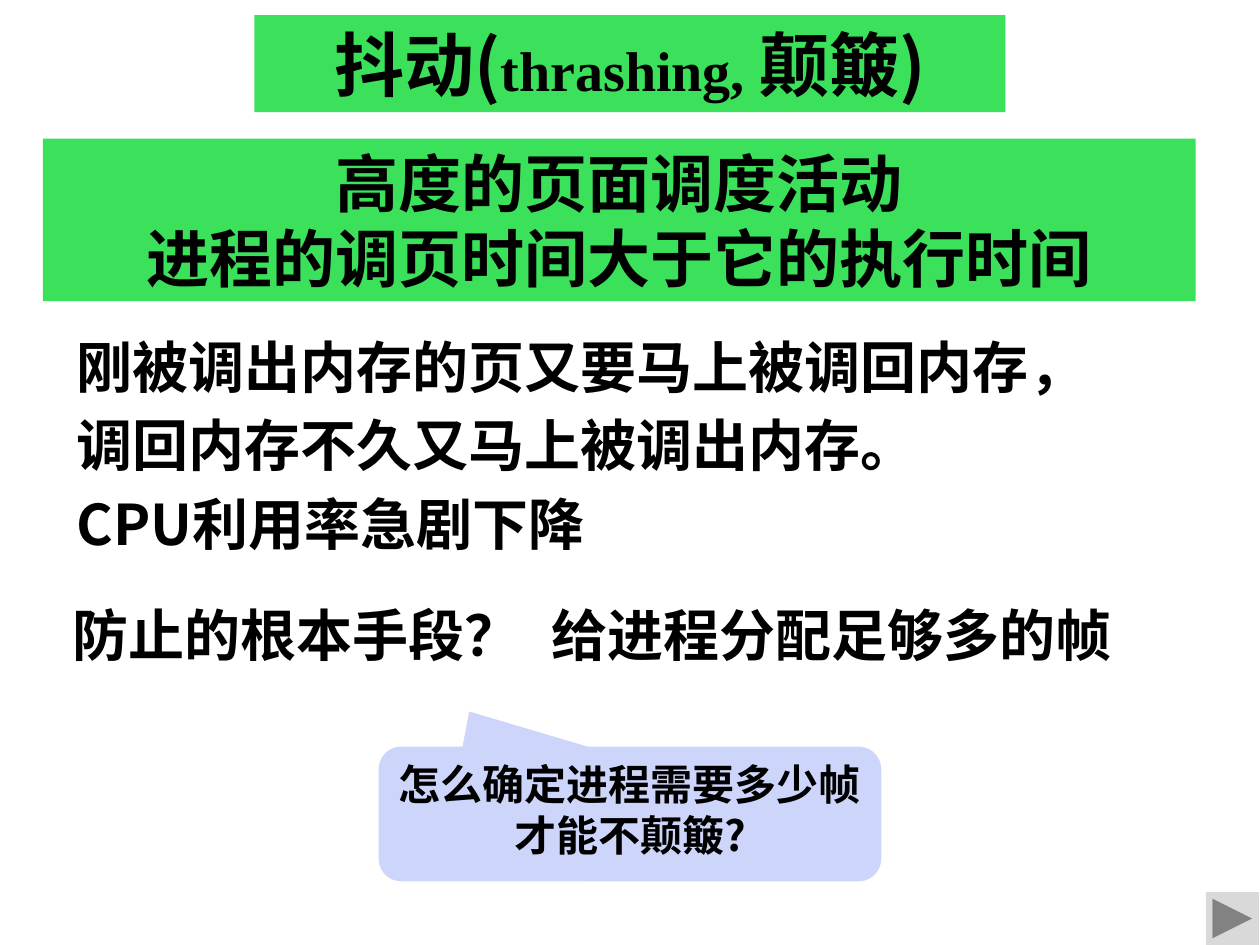
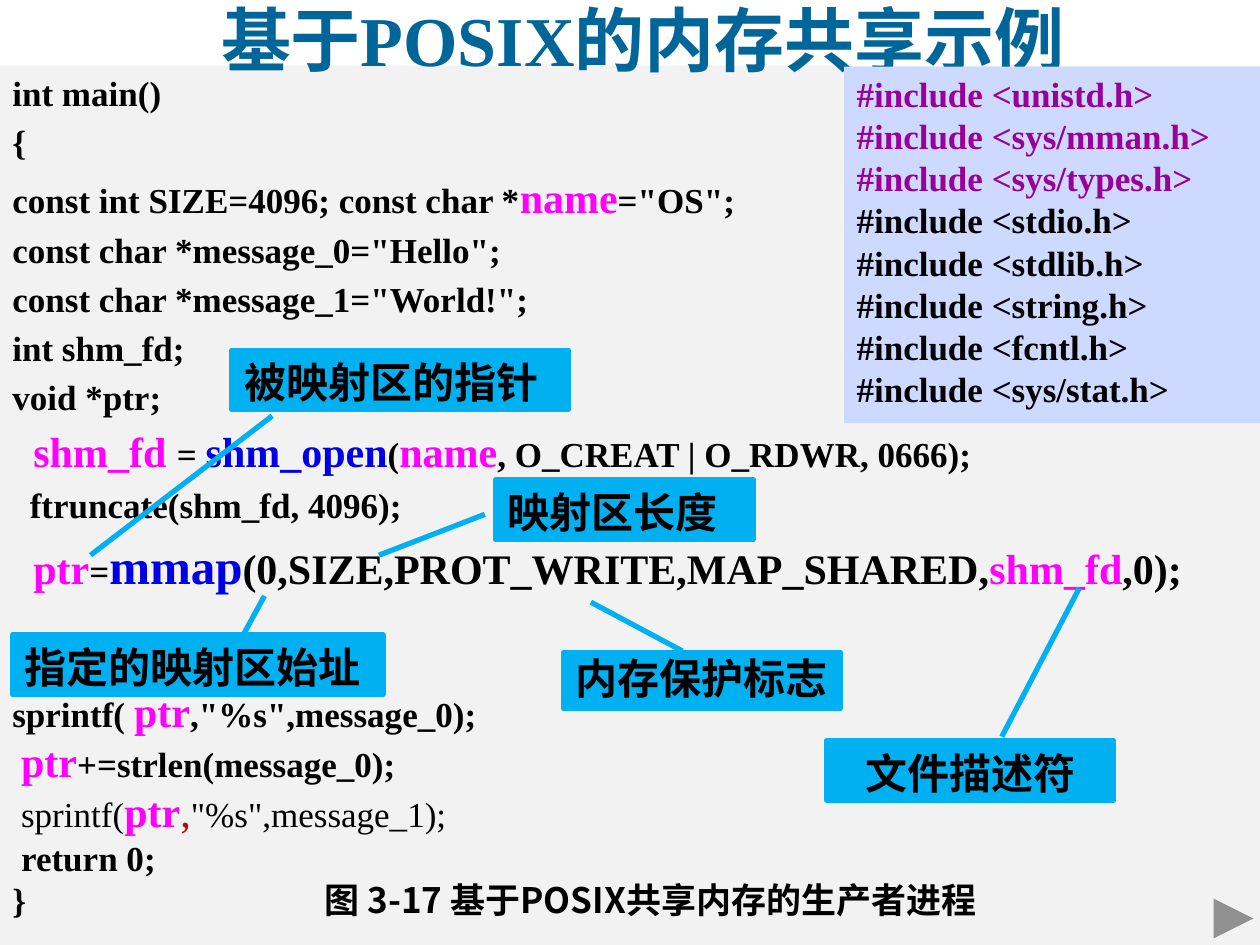
from pptx import Presentation
from pptx.dml.color import RGBColor
from pptx.enum.shapes import MSO_SHAPE
from pptx.enum.text import MSO_ANCHOR, PP_ALIGN
from pptx.util import Inches, Pt
from lxml.etree import SubElement
from pptx.oxml.ns import qn

HEI, TIMES = "Noto Sans CJK SC", "Times New Roman"
GREEN, LILAC, PALE, SKY = "3BE15B", "CDD5FB", "CDD9FF", "00B0F0"
PANEL, BUTTON, TITLE_BLUE = "F2F2F2", "D9D9D9", "006699"
BLACK, WHITE, PURPLE = "000000", "FFFFFF", "990099"

STYLES = {
    "band": dict(size=36, font=HEI),
    "heading": dict(size=40, font=HEI),
    "term": dict(size=32, font=TIMES),
    "body": dict(size=32, font=HEI),
    "question": dict(size=24, font=HEI),
    "title": dict(size=40, font=TIMES, color=TITLE_BLUE),
    "caption": dict(size=20, font=HEI),
    "label": dict(size=24, font=TIMES),
    "header": dict(size=20, font=TIMES, color=PURPLE),
    "code": dict(size=20, font=TIMES),
    "plain": dict(size=20, font=TIMES, bold=False),
    "comma": dict(size=24, font=TIMES, color="C00000", bold=False),
    "var": dict(size=24, font=TIMES, color="FF00FF"),
    "call": dict(size=24, font=TIMES, color="0000E5"),
    "bigcall": dict(size=28, font=TIMES, color="0000E5"),
    "args": dict(size=24, font=TIMES),
}

THRASHING_TITLE = [[("抖动(", "heading"), ("thrashing, ", "term"), ("颠簸)", "heading")]]
DEFINITION = ["高度的页面调度活动", "进程的调页时间大于它的执行时间"]
SYMPTOMS = ["刚被调出内存的页又要马上被调回内存，", "调回内存不久又马上被调出内存。", "CPU利用率急剧下降"]
REMEDY = [("防止的根本手段？", 0.48, 3.94), ("给进程分配足够多的帧", 4.28, 5.35)]
QUESTION = "怎么确定进程需要多少帧才能不颠簸?"

SETUP_CODE = [
    [("int main()", "code")],
    [("{", "code")],
    [("const int SIZE=4096; const char *", "code"), ("name", "var"), ('="OS";', "code")],
    [('const char *message_0="Hello";', "code")],
    [('const char *message_1="World!";', "code")],
    [("int shm_fd;", "code")],
    [("void *ptr;", "code")],
    [("  shm_fd ", "var"), ("= ", "code"), ("shm_open", "call"), ("(", "code"),
     ("name", "var"), (", O_CREAT | O_RDWR, 0666);", "code")],
    [("  ftruncate(shm_fd, 4096);", "code")],
    [("  ptr", "var"), ("=", "code"), ("mmap", "bigcall"),
     ("(0,SIZE,PROT_WRITE,MAP_SHARED,", "args"), ("shm_fd", "var"), (",0);", "args")],
]
WRITE_CODE = [
    [("sprintf( ", "code"), ("ptr", "var"), (',"%s",message_0);', "code")],
    [(" ", "code"), ("ptr", "var"), ("+=strlen(message_0);", "code")],
    [(" sprintf(", "plain"), ("ptr", "var"), (",", "comma"), ('"%s",message_1);', "plain")],
    [(" return 0;", "code")],
    [("}", "code")],
]
LABEL_GAP = 52
SHARING_HEADERS = ["unistd.h", "sys/mman.h", "sys/types.h"]
STANDARD_HEADERS = ["stdio.h", "stdlib.h", "string.h", "fcntl.h", "sys/stat.h"]

LABELS = [
    ("被映射区的指针", (1.84, 2.78, 2.67, 0.47), (1.11, 0.12, 3.46, -0.42), None, 0.05),
    ("指定的映射区始址", (0.1, 5.04, 2.94, 0.47), (0.03, 0.62, -0.66, 0.68), None, 0.05),
    ("映射区长度", (3.93, 3.81, 2.05, 0.47), (0.58, -0.04, 1.27, -0.45), None, 0.05),
    ("文件描述符", (6.56, 5.88, 2.28, 0.47), (-0.07, 0.61, -2.58, 0.88), PP_ALIGN.CENTER, 0.05),
    ("内存保护标志", (4.47, 5.18, 2.2, 0.44), (-0.03, 0.43, -0.91, 0.1), PP_ALIGN.CENTER, 0),
]


def rgb(value):
    return RGBColor.from_string(value)


def add_run(p, text, size, font, color=BLACK, bold=True):
    r = p.add_run()
    r.text = text
    for name, value in dict(size=Pt(size), name=font, bold=bold).items():
        setattr(r.font, name, value)
    r.font.color.rgb = rgb(color)
    SubElement(r.font._element, qn("a:ea"), typeface=HEI)


def write(sp, paragraphs, style=None, align=None, anchor=MSO_ANCHOR.TOP,
          wrap=True, pad=0.05, side=0.1, gaps=None):
    tf = sp.text_frame
    settings = dict(word_wrap=wrap, vertical_anchor=anchor,
                    margin_top=Inches(pad), margin_bottom=Inches(pad),
                    margin_left=Inches(side), margin_right=Inches(side))
    for name, value in settings.items():
        setattr(tf, name, value)
    for i, runs in enumerate(paragraphs):
        p = tf.add_paragraph() if i else tf.paragraphs[0]
        p.alignment = align or PP_ALIGN.LEFT
        if gaps and i:
            p.space_before = Pt(gaps[i])
        for text, key in [(runs, style)] if isinstance(runs, str) else runs:
            add_run(p, text, **STYLES[key])


def line_gaps(paragraphs):
    return [round(0.2 * max(STYLES[key]["size"] for _, key in runs), 1) for runs in paragraphs]


def add_box(s, at, fill, kind=MSO_SHAPE.RECTANGLE, line=None, width=0.75, adj=()):
    sp = s.shapes.add_shape(kind, *map(Inches, at))
    sp.shadow.inherit = False
    sp.fill.solid()
    sp.fill.fore_color.rgb = rgb(fill)
    if line:
        sp.line.color.rgb = rgb(line)
        sp.line.width = Pt(width)
    else:
        sp.line.fill.background()
    for i, value in enumerate(adj):
        sp.adjustments[i] = value
    return sp


def add_text(s, at, paragraphs, style, **options):
    write(s.shapes.add_textbox(*map(Inches, at)), paragraphs, style, **options)


def add_next_button(s, left, fill):
    add_box(s, (left, 7.08, 0.42, 0.42), fill, MSO_SHAPE.ACTION_BUTTON_FORWARD_OR_NEXT)


def build_thrashing(s):
    centred = dict(align=PP_ALIGN.CENTER, anchor=MSO_ANCHOR.MIDDLE)
    write(add_box(s, (0.34, 1.1, 9.15, 1.29), GREEN), DEFINITION, "band", **centred)
    write(add_box(s, (2.02, 0.12, 5.96, 0.77), GREEN), THRASHING_TITLE, **centred)
    add_text(s, (0.51, 2.59, 9.15, 1.93), SYMPTOMS, "body", gaps=[6.4] * len(SYMPTOMS))
    for text, left, width in REMEDY:
        add_text(s, (left, 4.72, width, 0.64), [text], "body")
    callout = add_box(s, (3, 5.92, 4, 1.08), LILAC, MSO_SHAPE.ROUNDED_RECTANGULAR_CALLOUT,
                      line=WHITE, adj=(-0.32, -0.76, 0.17))
    write(callout, [QUESTION], "question", align=PP_ALIGN.CENTER, side=0.08)
    add_next_button(s, 9.57, BUTTON)


def build_shared_memory(s):
    gaps = line_gaps(SETUP_CODE) + [LABEL_GAP] + [0] * (len(WRITE_CODE) - 1)
    write(add_box(s, (0, 0.52, 10, 6.98), PANEL), SETUP_CODE + WRITE_CODE, gaps=gaps)
    add_text(s, (0.1, -0.08, 10, 0.84), ["基于POSIX的内存共享示例"], "title",
             align=PP_ALIGN.CENTER)
    includes = [[(f"#include <{name}>", key)]
                for key, names in (("header", SHARING_HEADERS), ("code", STANDARD_HEADERS))
                for name in names]
    write(add_box(s, (6.7, 0.53, 3.3, 2.83), PALE), includes)
    add_text(s, (2.31, 6.92, 5.71, 0.44), ["图 3-17 基于POSIX共享内存的生产者进程"], "caption",
             align=PP_ALIGN.CENTER)
    for text, at, adj, align, pad in LABELS:
        sp = add_box(s, at, SKY, MSO_SHAPE.LINE_CALLOUT_1, line=SKY, width=3, adj=adj)
        write(sp, [text], "label", align=align, wrap=False, pad=pad)
    add_next_button(s, 9.58, PANEL)


def main():
    prs = Presentation()
    prs.slide_width, prs.slide_height = Inches(10), Inches(7.5)
    for build in (build_thrashing, build_shared_memory):
        build(prs.slides.add_slide(prs.slide_layouts[6]))
    prs.save("out.pptx")


if __name__ == "__main__":
    main()
